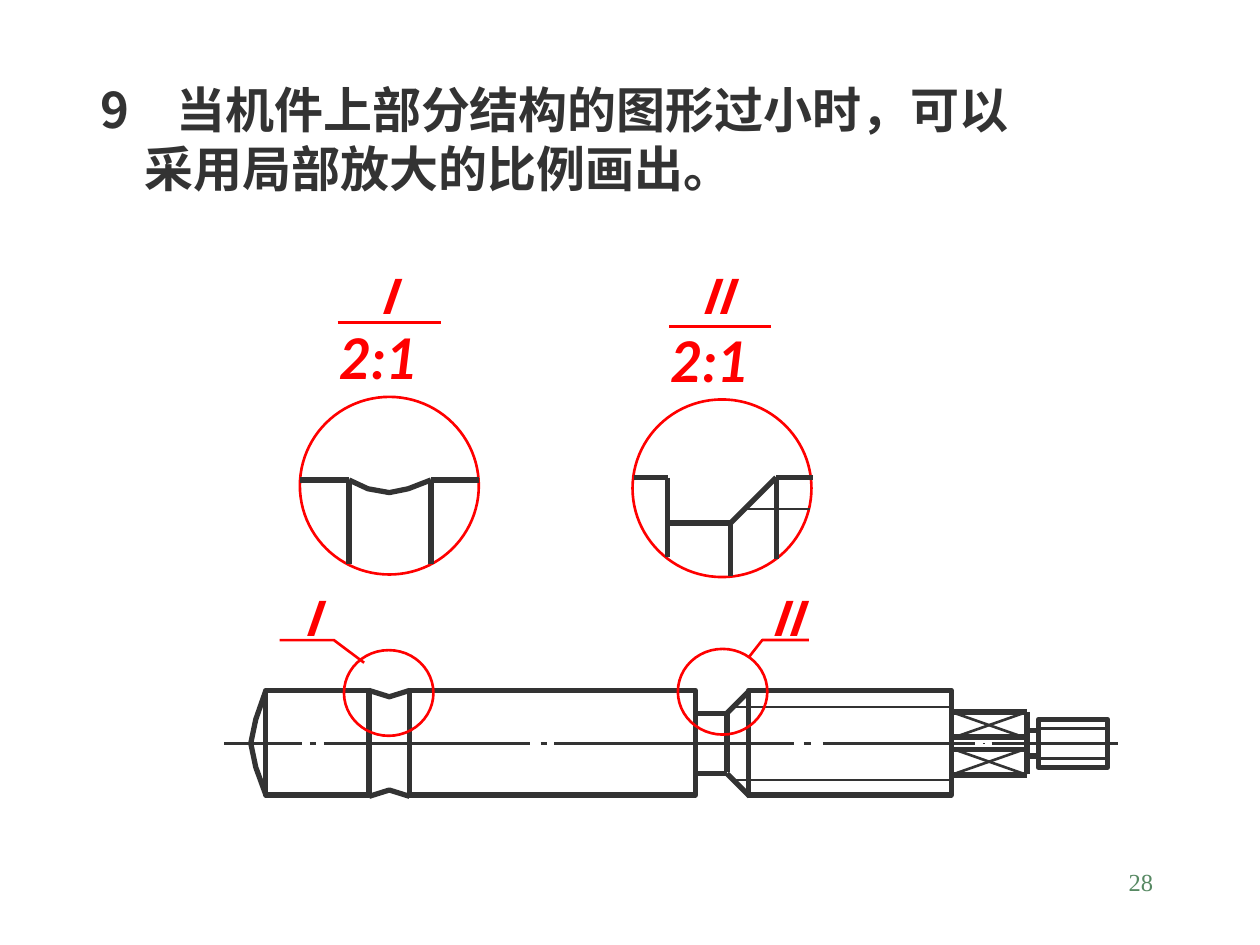
from typing import NamedTuple

from lxml.etree import SubElement
from pptx import Presentation
from pptx.dml.color import RGBColor
from pptx.enum.shapes import MSO_CONNECTOR, MSO_SHAPE
from pptx.enum.text import MSO_ANCHOR, MSO_AUTO_SIZE, PP_ALIGN
from pptx.oxml.ns import qn
from pptx.util import Inches, Pt

COLORS = {"ink": "333333", "mark": "FF0000", "page": "578963"}
CJK = "Noto Sans CJK SC"
THICK, THIN, HAIR = 3, 1.5, 0.13
AXIS = 5.9


class Box(NamedTuple):
    left: float
    top: float
    width: float
    height: float


class Stroke(NamedTuple):
    points: list[tuple[float, float]]
    weight: float = THICK
    color: str = "ink"


class Label(NamedTuple):
    text: str
    box: Box
    size: float = 27
    font: str = CJK


class DetailView(NamedTuple):
    circle: Box
    labels: list[Label]
    strokes: list[Stroke]


def style_line(line, color: str, weight: float) -> None:
    line.color.rgb = RGBColor.from_string(COLORS[color])
    line.width = Pt(weight)


def draw_outline(slide, kind, box: Box, color: str, weight: float) -> None:
    outline = slide.shapes.add_shape(kind, *map(Inches, box))
    outline.shadow.inherit = False
    outline.fill.background()
    style_line(outline.line, color, weight)


def draw_stroke(slide, stroke: Stroke) -> None:
    points = [(Inches(x), Inches(y)) for x, y in stroke.points]
    if len(points) == 2:
        line = slide.shapes.add_connector(MSO_CONNECTOR.STRAIGHT, *points[0], *points[1])
        SubElement(line._element.spPr, qn("a:effectLst"))
    else:
        builder = slide.shapes.build_freeform(*points[0], scale=1.0)
        builder.add_line_segments(points[1:], close=False)
        line = builder.convert_to_shape()
        line.fill.background()
        line.shadow.inherit = False
    style_line(line.line, stroke.color, stroke.weight)


def format_paragraph(paragraph, font: str, size: float, color: str,
                     bold: bool = True, italic: bool = False) -> None:
    paragraph.font.name = font
    paragraph.font.size = Pt(size)
    paragraph.font.bold = bold
    paragraph.font.italic = italic
    paragraph.font.color.rgb = RGBColor.from_string(COLORS[color])
    if font == CJK:
        defaults = paragraph._p.pPr.find(qn("a:defRPr"))
        SubElement(defaults, qn("a:ea")).set("typeface", font)
        paragraph.line_spacing = Pt(size * 1.2)


def draw_label(slide, label: Label) -> None:
    frame = slide.shapes.add_textbox(*map(Inches, label.box)).text_frame
    frame.word_wrap = True
    frame.margin_left = frame.margin_right = frame.margin_top = frame.margin_bottom = 0
    paragraph = frame.paragraphs[0]
    paragraph.text = label.text
    paragraph.alignment = PP_ALIGN.CENTER
    format_paragraph(paragraph, label.font, label.size, "mark", italic=True)


def mirrored(stroke: Stroke) -> list[Stroke]:
    """The stroke and its reflection in the shaft axis."""
    reflection = [(x, 2 * AXIS - y) for x, y in stroke.points]
    return [stroke, stroke._replace(points=reflection)]


def add_heading(slide) -> None:
    heading = slide.shapes.title
    heading.left, heading.top, heading.width, heading.height = map(
        Inches, (0.7, 0.58, 7.63, 1.03))
    frame = heading.text_frame
    frame.word_wrap = True
    frame.auto_size = MSO_AUTO_SIZE.NONE
    frame.vertical_anchor = MSO_ANCHOR.TOP
    frame.text = "9\t当机件上部分结构的图形过小时，可以\n采用局部放大的比例画出。"
    first, second = frame.paragraphs
    tabs = SubElement(first._p.get_or_add_pPr(), qn("a:tabLst"))
    SubElement(tabs, qn("a:tab"), pos=str(Inches(0.6)), algn="l")
    second._p.get_or_add_pPr().set("marL", str(Inches(0.35)))
    for paragraph in (first, second):
        paragraph.alignment = PP_ALIGN.LEFT
        format_paragraph(paragraph, CJK, 28, "ink")


def add_page_number(slide) -> None:
    frame = slide.shapes.add_textbox(*map(Inches, (7.17, 6.83, 2.08, 0.5))).text_frame
    frame.word_wrap = True
    paragraph = frame.paragraphs[0]
    paragraph.text = "28"
    paragraph.alignment = PP_ALIGN.RIGHT
    format_paragraph(paragraph, "Times New Roman", 14, "page", bold=False)


# Enlarged views, scale 2:1
DETAIL_VIEWS = [
    DetailView(
        Box(2.38, 3.15, 1.42, 1.41),
        [Label("Ⅰ", Box(2.88, 2.12, 0.38, 0.45)),
         Label("2:1", Box(2.53, 2.57, 0.95, 0.53), 32, "Lato")],
        [Stroke([(2.68, 2.56), (3.5, 2.56)], THIN, "mark"),
         Stroke([(3.42, 3.81), (3.8, 3.81)]),
         Stroke([(3.42, 3.81), (3.42, 4.48)]),
         Stroke([(2.77, 3.81), (2.77, 4.48)]),
         Stroke([(2.38, 3.81), (2.77, 3.81)]),
         Stroke([(2.77, 3.81), (2.92, 3.88), (3.09, 3.91), (3.24, 3.88), (3.42, 3.81)])]),
    DetailView(
        Box(5.02, 3.17, 1.42, 1.41),
        [Label("Ⅱ", Box(5.49, 2.12, 0.38, 0.45)),
         Label("2:1", Box(5.16, 2.59, 0.95, 0.53), 32, "Lato")],
        [Stroke([(5.31, 2.59), (6.12, 2.59)], THIN, "mark"),
         Stroke([(5.8, 4.15), (5.8, 4.57)]),
         Stroke([(6.16, 3.79), (6.16, 4.44)]),
         Stroke([(5.3, 3.79), (5.3, 4.42)]),
         Stroke([(5.92, 4.04), (6.43, 4.04)], THIN),
         Stroke([(6.16, 3.79), (6.45, 3.79)]),
         Stroke([(5.8, 4.15), (5.3, 4.15)]),
         Stroke([(6.16, 3.79), (5.8, 4.15)]),
         Stroke([(5.03, 3.79), (5.3, 3.79)])]),
]

# Callouts from the shaft
CALLOUT_LABELS = [Label("Ⅰ", Box(2.26, 4.68, 0.42, 0.45)),
                  Label("Ⅱ", Box(6.05, 4.68, 0.38, 0.45))]
LEADERS = [[(2.22, 5.08), (2.65, 5.08), (2.89, 5.26)],
           [(6.42, 5.08), (6.05, 5.08), (5.94, 5.22)]]
CALLOUT_CIRCLES = [Box(2.73, 5.16, 0.71, 0.68), Box(5.38, 5.15, 0.71, 0.68)]

# Shaft: bodies, parts above the axis (reflected below), upright parts, centre line
BODIES = [Box(8.24, 5.71, 0.55, 0.38), Box(5.94, 5.48, 1.61, 0.83),
          Box(2.11, 5.48, 0.82, 0.83), Box(3.25, 5.48, 2.27, 0.83)]
UPPER_STROKES = [
    Stroke([(2.93, 5.48), (3.09, 5.53), (3.25, 5.48)]),
    Stroke([(5.95, 5.48), (5.77, 5.66)]),
    Stroke([(5.52, 5.66), (5.77, 5.66)]),
    Stroke([(5.83, 5.61), (7.55, 5.61)], THIN),
    Stroke([(7.55, 5.65), (8.15, 5.65)]),
    Stroke([(7.55, 5.85), (8.15, 5.85)]),
    Stroke([(7.55, 5.65), (8.15, 5.86)], THIN),
    Stroke([(7.55, 5.86), (8.15, 5.65)], THIN),
    Stroke([(8.24, 5.78), (8.78, 5.78)], THIN),
    Stroke([(8.15, 5.8), (8.24, 5.8)]),
]
UPRIGHT_STROKES = [
    Stroke([(2.11, 5.48), (2.03, 5.71), (1.99, 5.9), (2.03, 6.09), (2.11, 6.31)]),
    Stroke([(5.77, 5.66), (5.77, 6.13)]),
    Stroke([(8.15, 5.65), (8.15, 6.14)]),
]
CENTRE_DASHES = [(1.78, 2.4, THIN), (2.46, 2.51, THIN), (2.57, 4.21, THIN),
                 (4.29, 4.34, THIN), (4.4, 6.3, THIN), (6.38, 6.44, THIN),
                 (6.53, 7.74, THIN), (7.8, 7.82, HAIR), (7.87, 8.87, THIN)]


def main() -> None:
    deck = Presentation()
    deck.slide_width, deck.slide_height = Inches(10), Inches(7.5)
    slide = deck.slides.add_slide(deck.slide_layouts[5])
    add_heading(slide)
    add_page_number(slide)

    for view in DETAIL_VIEWS:
        draw_outline(slide, MSO_SHAPE.OVAL, view.circle, "mark", THIN)
        for label in view.labels:
            draw_label(slide, label)
        for stroke in view.strokes:
            draw_stroke(slide, stroke)

    for body in BODIES:
        draw_outline(slide, MSO_SHAPE.RECTANGLE, body, "ink", THICK)
    reflected = [part for stroke in UPPER_STROKES for part in mirrored(stroke)]
    dashes = [Stroke([(start, AXIS), (end, AXIS)], weight)
              for start, end, weight in CENTRE_DASHES]
    leaders = [Stroke(points, THIN, "mark") for points in LEADERS]
    for stroke in reflected + UPRIGHT_STROKES + dashes + leaders:
        draw_stroke(slide, stroke)
    for label in CALLOUT_LABELS:
        draw_label(slide, label)
    for circle in CALLOUT_CIRCLES:
        draw_outline(slide, MSO_SHAPE.OVAL, circle, "mark", THIN)

    deck.save("out.pptx")


if __name__ == "__main__":
    main()
